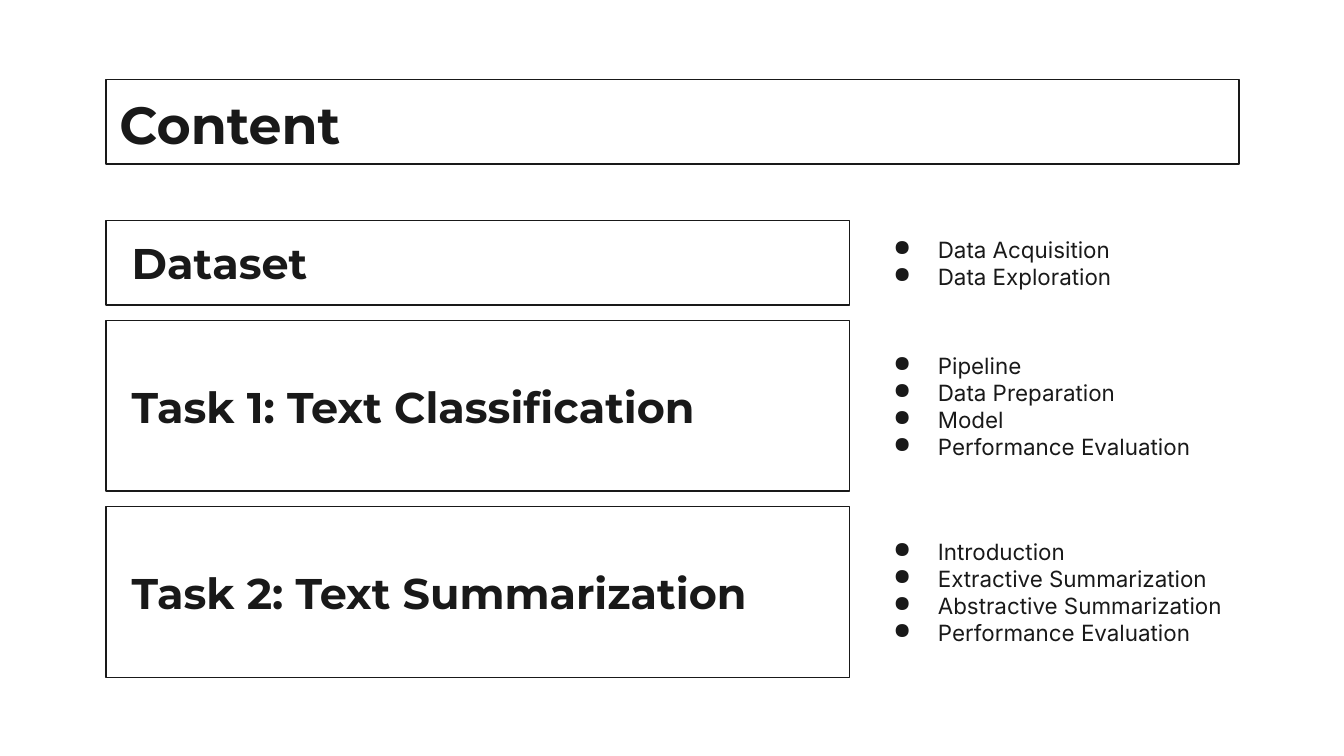
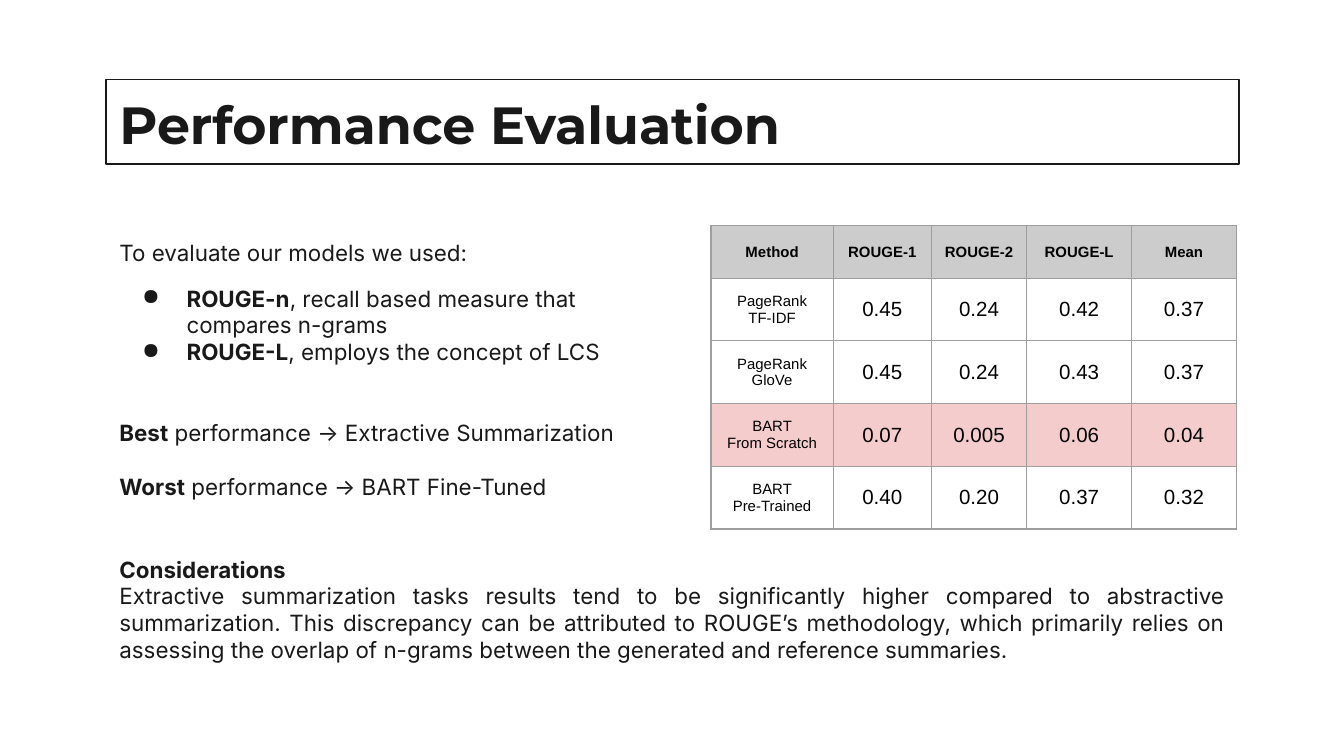
from lxml import etree
from pptx import Presentation
from pptx.dml.color import RGBColor
from pptx.enum.shapes import MSO_SHAPE
from pptx.enum.text import MSO_ANCHOR, PP_ALIGN
from pptx.oxml.ns import qn
from pptx.util import Inches, Pt

RECT = MSO_SHAPE.RECTANGLE
TOP, MIDDLE = MSO_ANCHOR.TOP, MSO_ANCHOR.MIDDLE
LEFT, CENTER, JUSTIFY = PP_ALIGN.LEFT, PP_ALIGN.CENTER, PP_ALIGN.JUSTIFY

COLORS = {
    "ink": "191919",
    "black": "000000",
    "border": "9E9E9E",
    "header": "CCCCCC",
    "highlight": "F4CCCC",
}
HEAD_FONT, BODY_FONT, TABLE_FONT = "Montserrat", "Inter", "Arial"

# Shared grid, in inches
MARGIN, WIDTH = 0.79, 8.43
TITLE_TOP, BAR_H = 0.59, 0.63
INSET = 0.1


def write(tf, lines, font, size, color="ink", bold=False, align=LEFT, anchor=MIDDLE):
    """Write one paragraph per line; text before a "|" is bold."""
    tf.word_wrap = True
    tf.vertical_anchor = anchor
    tf.margin_left = tf.margin_right = tf.margin_top = tf.margin_bottom = Inches(INSET)
    tf.text = "\n".join(lines)
    for p, line in zip(tf.paragraphs, lines):
        p.alignment = align
        lead, bar, rest = line.partition("|")
        if bar:
            p.text = lead
            if rest:
                p.add_run().text = rest
        for i, r in enumerate(p.runs):
            r.font.name, r.font.size = font, Pt(size)
            r.font.color.rgb = RGBColor.from_string(COLORS[color])
            r.font.bold = bold or (bool(bar) and i == 0)


def add_bullet(p):
    """Give a paragraph a round bullet with a hanging indent."""
    pPr = p._p.get_or_add_pPr()
    pPr.set("marL", str(Inches(0.5)))
    pPr.set("indent", str(Inches(-0.33)))
    buClr = etree.SubElement(pPr, qn("a:buClr"))
    etree.SubElement(buClr, qn("a:srgbClr"), val=COLORS["ink"])
    etree.SubElement(pPr, qn("a:buChar"), char="●")


prs = Presentation()
prs.slide_width, prs.slide_height = Inches(10), Inches(5.625)
blank = prs.slide_layouts[6]

# Content rows: heading, height, topics
sections = [
    ("Dataset", BAR_H, ["Data Acquisition", "Data Exploration"]),
    ("Task 1: Text Classification", 2 * BAR_H + 0.01,
     ["Pipeline", "Data Preparation", "Model", "Performance Evaluation"]),
    ("Task 2: Text Summarization", 2 * BAR_H + 0.01,
     ["Introduction", "Extractive Summarization", "Abstractive Summarization",
      "Performance Evaluation"]),
]
SECTION_TOP, SECTION_BOTTOM = 1.64, 5.04
SECTION_W, TOPIC_W = 5.53, 2.84
gap = (SECTION_BOTTOM - SECTION_TOP - sum(h for _, h, _ in sections)) / (len(sections) - 1)

# Framed headings of both slides: text, top, width, height, size, anchor, left inset
content_bars = [("Content", TITLE_TOP, WIDTH, BAR_H, 28, TOP, INSET)]
top = SECTION_TOP
for heading, h, _ in sections:
    content_bars.append((heading, top, SECTION_W, h, 23, MIDDLE, 0.19))
    top += h + gap
result_bars = [("Performance Evaluation", TITLE_TOP, WIDTH, BAR_H, 28, TOP, INSET)]

slides = []
for bars in (content_bars, result_bars):
    s = prs.slides.add_slide(blank)
    slides.append(s)
    for text, top, w, h, size, anchor, inset in bars:
        sp = s.shapes.add_shape(RECT, Inches(MARGIN), Inches(top), Inches(w), Inches(h))
        sp.shadow.inherit = False
        sp.fill.background()
        sp.line.color.rgb = RGBColor.from_string(COLORS["ink"])
        sp.line.width = Pt(0.75)
        write(sp.text_frame, [text], HEAD_FONT, size, bold=True, anchor=anchor)
        sp.text_frame.margin_left = Inches(inset)
content, results = slides

# Slide 1: topics beside each section
for (_, top, _, h, *_), (_, _, topics) in zip(content_bars[1:], sections):
    tb = content.shapes.add_textbox(Inches(MARGIN + WIDTH - TOPIC_W), Inches(top),
                                    Inches(TOPIC_W), Inches(h))
    write(tb.text_frame, topics, BODY_FONT, 12)
    for p in tb.text_frame.paragraphs:
        add_bullet(p)

# Slide 2: considerations
tb = results.shapes.add_textbox(Inches(MARGIN), Inches(4.02), Inches(WIDTH), Inches(1.03))
write(tb.text_frame, [
    "Considerations|",
    "Extractive summarization tasks results tend to be significantly higher compared to "
    "abstractive summarization. This discrepancy can be attributed to ROUGE’s methodology, "
    "which primarily relies on assessing the overlap of n-grams between the generated and "
    "reference summaries.",
], BODY_FONT, 12, align=JUSTIFY)
tb.text_frame.paragraphs[0].alignment = LEFT

# Slide 2: score table
scores = [
    ["Method", "ROUGE-1", "ROUGE-2", "ROUGE-L", "Mean"],
    ["PageRank\nTF-IDF", "0.45", "0.24", "0.42", "0.37"],
    ["PageRank\nGloVe", "0.45", "0.24", "0.43", "0.37"],
    ["BART\nFrom Scratch", "0.07", "0.005", "0.06", "0.04"],
    ["BART\nPre-Trained", "0.40", "0.20", "0.37", "0.32"],
]
row_fills = {0: "header", 3: "highlight"}
col_widths = [0.91, 0.73, 0.71, 0.78, 0.78]
row_heights = [0.39] + [0.45] * 4
BLOCK_TOP = 1.68

table = results.shapes.add_table(len(scores), len(col_widths), Inches(5.29), Inches(BLOCK_TOP),
                                 Inches(sum(col_widths)), Inches(sum(row_heights))).table
table.first_row = table.horz_banding = False
for col, w in zip(table.columns, col_widths):
    col.width = Inches(w)
for i, (row, h) in enumerate(zip(scores, row_heights)):
    table.rows[i].height = Inches(h)
    for j, text in enumerate(row):
        cell = table.cell(i, j)
        size = 8 if i == 0 or j == 0 else 11
        write(cell.text_frame, text.split("\n"), TABLE_FONT, size, "black",
              bold=i == 0, align=CENTER)
        cell.vertical_anchor = MIDDLE
        cell.margin_left = cell.margin_right = Inches(INSET)
        cell.margin_top = cell.margin_bottom = Inches(INSET)
        tcPr = cell._tc.get_or_add_tcPr()
        for edge in ("a:lnL", "a:lnR", "a:lnT", "a:lnB"):
            ln = etree.SubElement(tcPr, qn(edge), w=str(Pt(0.75)))
            fill = etree.SubElement(ln, qn("a:solidFill"))
            etree.SubElement(fill, qn("a:srgbClr"), val=COLORS["border"])
        if i in row_fills:
            cell.fill.solid()
            cell.fill.fore_color.rgb = RGBColor.from_string(COLORS[row_fills[i]])
        else:
            cell.fill.background()

# Slide 2: measures and findings
tb = results.shapes.add_textbox(Inches(MARGIN), Inches(BLOCK_TOP), Inches(4.3), Inches(2.3))
write(tb.text_frame, [
    "To evaluate our models we used:",
    "ROUGE-n|, recall based measure that compares n-grams",
    "ROUGE-L|, employs the concept of LCS",
    "Best| performance → Extractive Summarization",
    "Worst| performance → BART Fine-Tuned",
], BODY_FONT, 12, align=JUSTIFY, anchor=TOP)
_, rouge_n, rouge_l, best, worst = tb.text_frame.paragraphs
rouge_n.alignment = LEFT
for p, space in ((rouge_n, 10), (best, 29), (worst, 14.5)):
    p.space_before = Pt(space)
for p in (rouge_n, rouge_l):
    add_bullet(p)

prs.save("out.pptx")
